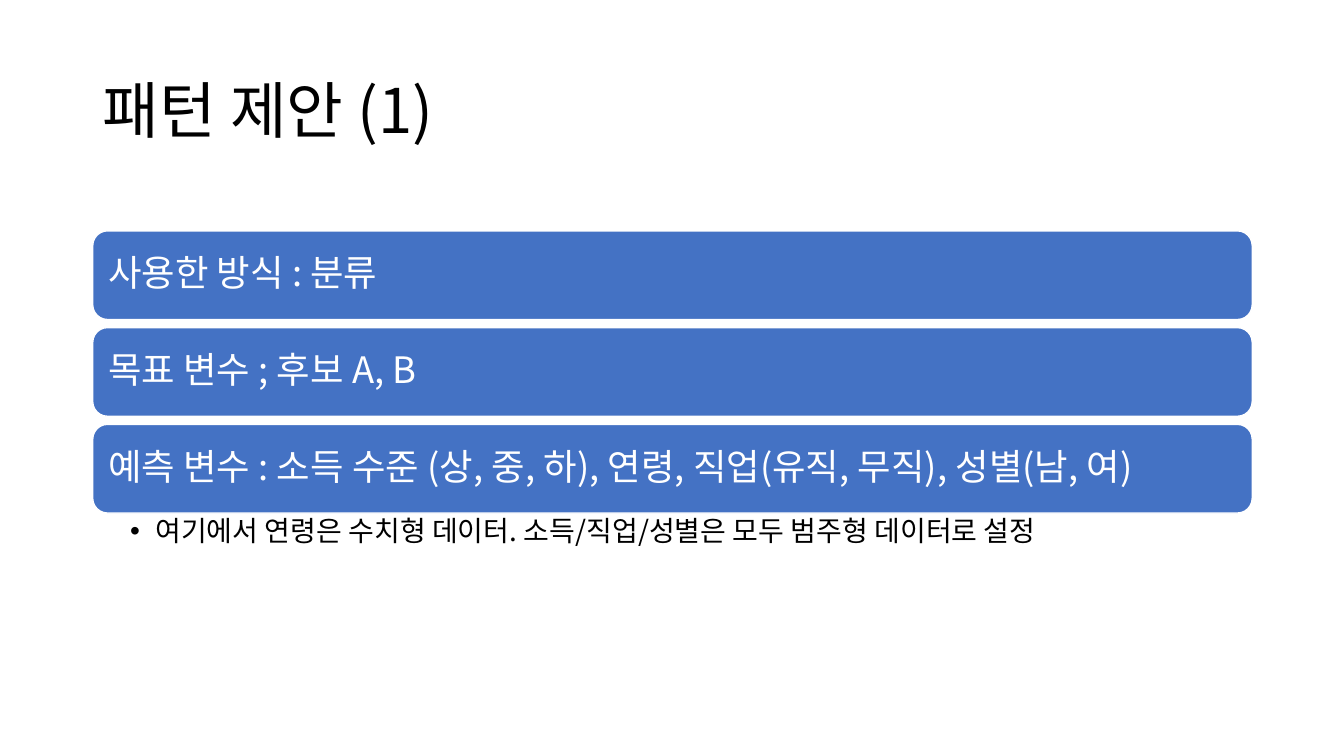
from lxml.etree import SubElement
from pptx import Presentation
from pptx.dml.color import RGBColor
from pptx.enum.shapes import MSO_SHAPE
from pptx.enum.text import MSO_ANCHOR, MSO_AUTO_SIZE, PP_ALIGN
from pptx.oxml.ns import qn
from pptx.util import Inches, Pt

FACE = "Noto Sans CJK KR"
BLACK = RGBColor(0x00, 0x00, 0x00)
WHITE = RGBColor(0xFF, 0xFF, 0xFF)
BLUE = RGBColor(0x44, 0x72, 0xC4)

LEFT, WIDTH = 0.92, 11.5
TOP, HEIGHT, STEP = 2.29, 0.88, 0.96
BARS = (
    "사용한 방식 : 분류",
    "목표 변수 ; 후보 A, B",
    "예측 변수 : 소득 수준 (상, 중, 하), 연령, 직업(유직, 무직), 성별(남, 여)",
)
NOTE = "여기에서 연령은 수치형 데이터.\u00a0소득/직업/성별은 모두 범주형 데이터로 설정"


def assign(item, values):
    for name, value in values.items():
        setattr(item, name, value)


def place(shape, top, height):
    assign(shape, {"left": Inches(LEFT), "top": Inches(top),
                   "width": Inches(WIDTH), "height": Inches(height)})


def write(shape, text, size, color, anchor, insets):
    """Set one left-aligned paragraph; insets are left, top, right, bottom."""
    frame = shape.text_frame
    left, top, right, bottom = map(Inches, insets)
    assign(frame, {"word_wrap": True, "auto_size": MSO_AUTO_SIZE.NONE,
                   "vertical_anchor": anchor,
                   "margin_left": left, "margin_top": top,
                   "margin_right": right, "margin_bottom": bottom})
    para = frame.paragraphs[0]
    assign(para, {"alignment": PP_ALIGN.LEFT, "line_spacing": 0.9,
                  "space_before": Pt(0)})
    run = para.add_run()
    run.text = text
    assign(run.font, {"name": FACE, "size": Pt(size)})
    run.font.color.rgb = color
    SubElement(run.font._element, qn("a:ea"), typeface=FACE)
    return para


def add_bar(slide, text, top):
    bar = slide.shapes.add_shape(
        MSO_SHAPE.ROUNDED_RECTANGLE, Inches(LEFT), Inches(top),
        Inches(WIDTH), Inches(HEIGHT))
    bar.shadow.inherit = False
    bar.fill.solid()
    bar.fill.fore_color.rgb = BLUE
    bar.line.color.rgb = WHITE
    bar.line.width = Pt(1)
    write(bar, text, 26, WHITE, MSO_ANCHOR.MIDDLE, (0.11,) * 4)


def add_bullet(para):
    para.level = 1
    props = para._p.get_or_add_pPr()
    props.set("marL", str(Inches(0.25)))
    props.set("indent", str(Inches(-0.25)))
    SubElement(props, qn("a:buFont"), typeface="Arial")
    SubElement(props, qn("a:buChar"), char="•")


def main():
    deck = Presentation()
    assign(deck, {"slide_width": Inches(13.33), "slide_height": Inches(7.5)})
    slide = deck.slides.add_slide(deck.slide_layouts[1])

    title, body = slide.placeholders
    place(title, 0.4, 1.45)
    write(title, "패턴 제안 (1)", 44, BLACK, MSO_ANCHOR.MIDDLE,
          (0.1, 0.05, 0.1, 0.05))

    for row, text in enumerate(BARS):
        add_bar(slide, text, TOP + row * STEP)

    place(body, 5.09, 0.53)
    add_bullet(write(body, NOTE, 20, BLACK, MSO_ANCHOR.TOP,
                     (0.37, 0.04, 0.2, 0.04)))
    deck.save("out.pptx")


if __name__ == "__main__":
    main()
